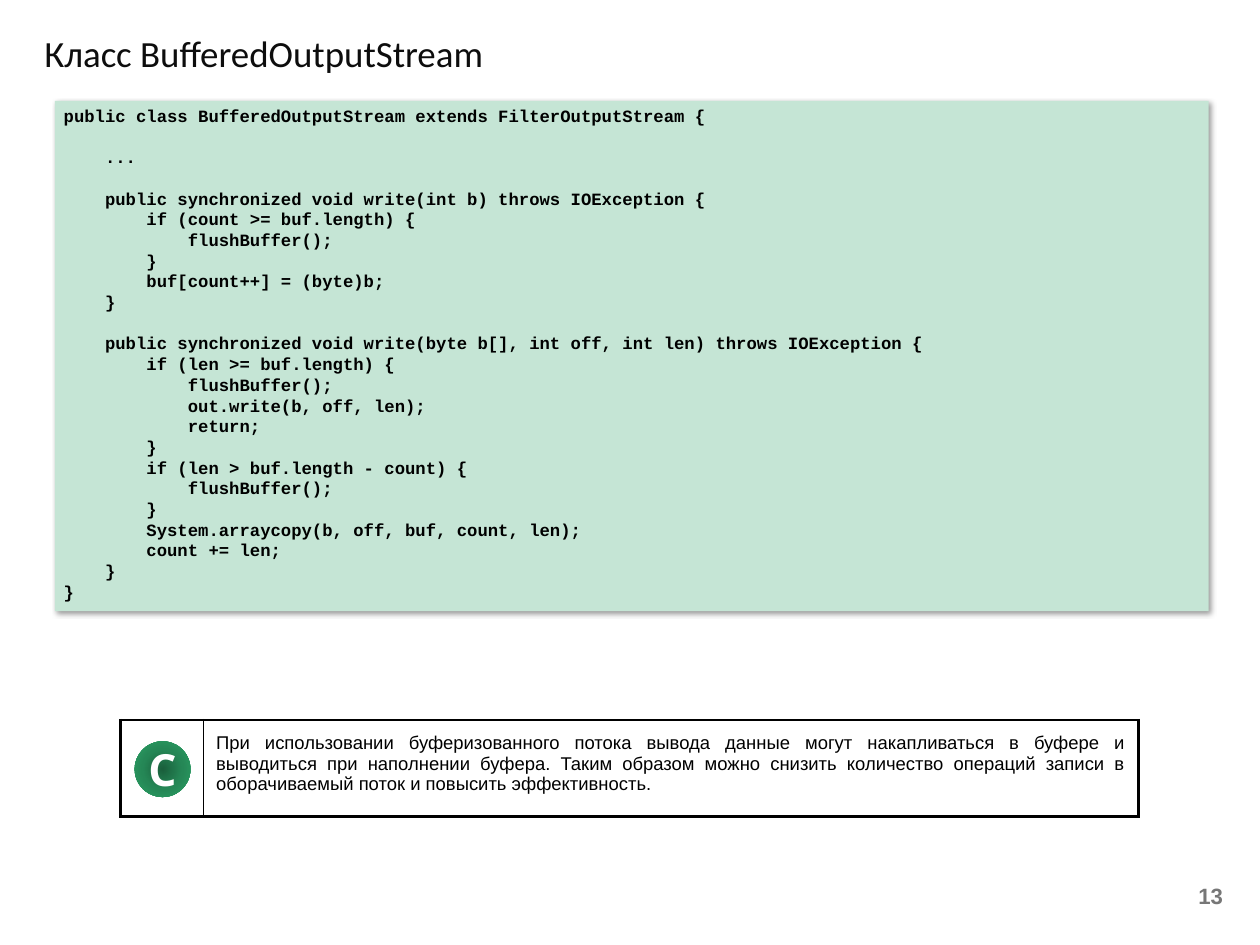
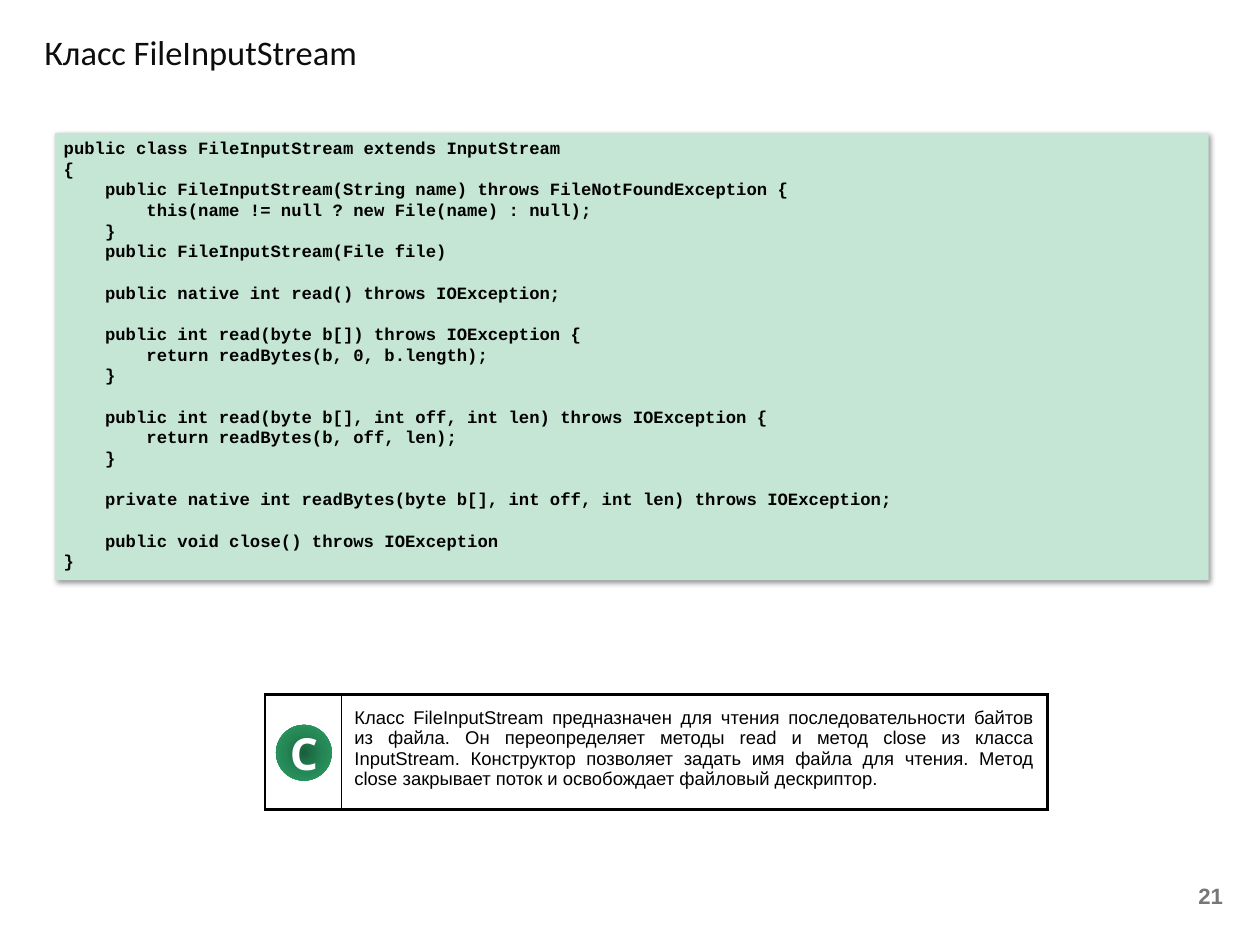
from pptx import Presentation
from pptx.dml.color import RGBColor
from pptx.enum import shapes, text
from pptx.oxml import parse_xml
from pptx.oxml.ns import nsdecls, qn
from pptx.util import Inches, Pt

BLACK, WHITE, GREY, TITLE_COLOUR = "000000", "FFFFFF", "777777", "0D0D0D"
CODE_FILL = "C5E5D5"
BADGE_STOPS = ((0, "1A5F3C"), (50, "258756"), (100, "2BA166"))
BADGE_SIZE = 0.63
THICK, THIN = 2.25, 0.5

BUFFERED_CODE = """\
public class BufferedOutputStream extends FilterOutputStream {

    ...

    public synchronized void write(int b) throws IOException {
        if (count >= buf.length) {
            flushBuffer();
        }
        buf[count++] = (byte)b;
    }

    public synchronized void write(byte b[], int off, int len) throws IOException {
        if (len >= buf.length) {
            flushBuffer();
            out.write(b, off, len);
            return;
        }
        if (len > buf.length - count) {
            flushBuffer();
        }
        System.arraycopy(b, off, buf, count, len);
        count += len;
    }
}"""
BUFFERED_NOTE = (
    "При использовании буферизованного потока вывода данные могут накапливаться в буфере "
    "и выводиться при наполнении буфера. Таким образом можно снизить количество операций "
    "записи в оборачиваемый поток и повысить эффективность.")

FILE_CODE = """\
public class FileInputStream extends InputStream
{
    public FileInputStream(String name) throws FileNotFoundException {
        this(name != null ? new File(name) : null);
    }
    public FileInputStream(File file)

    public native int read() throws IOException;

    public int read(byte b[]) throws IOException {
        return readBytes(b, 0, b.length);
    }

    public int read(byte b[], int off, int len) throws IOException {
        return readBytes(b, off, len);
    }

    private native int readBytes(byte b[], int off, int len) throws IOException;

    public void close() throws IOException
}"""
FILE_NOTE = (
    "Класс FileInputStream предназначен для чтения последовательности байтов из файла. "
    "Он переопределяет методы read и метод close из класса InputStream. Конструктор "
    "позволяет задать имя файла для чтения. Метод close закрывает поток и освобождает "
    "файловый дескриптор.")


def rgb(colour):
    return RGBColor.from_string(colour)


def style(paragraph, font, size, colour, bold=False, align=text.PP_ALIGN.LEFT):
    paragraph.alignment = align
    paragraph.font.name = font
    paragraph.font.size = Pt(size)
    paragraph.font.bold = bold
    paragraph.font.color.rgb = rgb(colour)


def set_margins(box, margin):
    """Give a text frame or table cell the same inset on every side."""
    box.margin_left = box.margin_top = box.margin_right = box.margin_bottom = Inches(margin)


def add_titled_slide(presentation, title, size, number):
    slide = presentation.slides.add_slide(presentation.slide_layouts[5])
    heading = slide.shapes.title
    heading.left, heading.top = Inches(0.4), Inches(0.3)
    heading.width, heading.height = Inches(11.03), Inches(0.63)
    frame = heading.text_frame
    frame.text = title
    frame.vertical_anchor = text.MSO_ANCHOR.TOP
    frame.auto_size = text.MSO_AUTO_SIZE.NONE
    style(frame.paragraphs[0], "Calibri", size, TITLE_COLOUR)

    footer = slide.shapes.add_textbox(Inches(10.58), Inches(9.85), Inches(3.32), Inches(0.53))
    frame = footer.text_frame
    frame.word_wrap = True
    frame.vertical_anchor = text.MSO_ANCHOR.MIDDLE
    frame.text = str(number)
    style(frame.paragraphs[0], "Arial", 18, GREY, True, text.PP_ALIGN.RIGHT)
    return slide


def add_code(slide, code, top, height):
    panel = slide.shapes.add_shape(shapes.MSO_SHAPE.RECTANGLE, Inches(0.62), Inches(top),
                                   Inches(13.02), Inches(height))
    panel.fill.solid()
    panel.fill.fore_color.rgb = rgb(CODE_FILL)
    panel.line.fill.background()
    panel.shadow.inherit = False
    effects = panel._element.spPr.find(qn("a:effectLst"))
    effects.append(parse_xml(
        f'<a:outerShdw {nsdecls("a")} blurRad="{Pt(4)}" dist="{Pt(3)}" dir="2700000" '
        f'algn="tl" rotWithShape="0"><a:srgbClr val="{BLACK}"><a:alpha val="40000"/>'
        '</a:srgbClr></a:outerShdw>'))
    frame = panel.text_frame
    frame.word_wrap = True
    frame.vertical_anchor = text.MSO_ANCHOR.TOP
    frame.text = code
    for paragraph in frame.paragraphs:
        style(paragraph, "Courier New", 14, BLACK, True)
        paragraph.line_spacing = Pt(16.8)


def set_borders(cell, left, right, top, bottom):
    """Draw black cell borders with widths in points."""
    properties = cell._tc.get_or_add_tcPr()
    widths = {"lnL": left, "lnR": right, "lnT": top, "lnB": bottom}
    for index, (tag, width) in enumerate(widths.items()):
        properties.insert(index, parse_xml(
            f'<a:{tag} {nsdecls("a")} w="{Pt(width)}"><a:solidFill>'
            f'<a:srgbClr val="{BLACK}"/></a:solidFill></a:{tag}>'))


def add_badge(slide, center_x, center_y):
    badge = slide.shapes.add_shape(
        shapes.MSO_SHAPE.OVAL, Inches(center_x - BADGE_SIZE / 2),
        Inches(center_y - BADGE_SIZE / 2), Inches(BADGE_SIZE), Inches(BADGE_SIZE))
    badge.fill.background()
    badge.line.fill.background()
    badge.shadow.inherit = False
    stops = "".join(f'<a:gs pos="{position * 1000}"><a:srgbClr val="{colour}"/></a:gs>'
                    for position, colour in BADGE_STOPS)
    properties = badge._element.spPr
    properties.replace(properties.find(qn("a:noFill")), parse_xml(
        f'<a:gradFill {nsdecls("a")} rotWithShape="1"><a:gsLst>{stops}</a:gsLst>'
        '<a:path path="circle"><a:fillToRect l="50000" t="50000" r="50000" b="50000"/>'
        '</a:path></a:gradFill>'))
    frame = badge.text_frame
    set_margins(frame, 0)
    frame.vertical_anchor = text.MSO_ANCHOR.MIDDLE
    frame.text = "C"
    style(frame.paragraphs[0], "Noto Sans", 36, WHITE, True, text.PP_ALIGN.CENTER)


def add_note(slide, note, left, top, widths, height):
    """Add a framed note with a round badge centred in its first column."""
    frame = slide.shapes.add_table(1, 2, Inches(left), Inches(top),
                                   Inches(sum(widths)), Inches(height))
    table = frame.table
    table.first_row = table.horz_banding = False
    for column, width in zip(table.columns, widths):
        column.width = Inches(width)
    badge_cell, note_cell = table.cell(0, 0), table.cell(0, 1)
    for cell in (badge_cell, note_cell):
        cell.fill.solid()
        cell.fill.fore_color.rgb = rgb(WHITE)
    set_borders(badge_cell, THICK, THIN, THICK, THICK)
    set_borders(note_cell, THIN, THICK, THICK, THICK)
    set_margins(note_cell, 0.15)
    note_cell.text = note
    style(note_cell.text_frame.paragraphs[0], "Arial", 15, BLACK, align=text.PP_ALIGN.JUSTIFY)
    add_badge(slide, left + widths[0] / 2 + 0.01, top + height / 2 + 0.01)


def main():
    presentation = Presentation()
    presentation.slide_width, presentation.slide_height = Inches(14.22), Inches(10.67)

    slide = add_titled_slide(presentation, "Класс BufferedOutputStream", 30, 13)
    add_code(slide, BUFFERED_CODE, 1.14, 5.76)
    add_note(slide, BUFFERED_NOTE, 1.36, 8.13, (0.93, 10.56), 1.09)

    slide = add_titled_slide(presentation, "Класс FileInputStream", 28, 21)
    add_code(slide, FILE_CODE, 1.5, 5.05)
    add_note(slide, FILE_NOTE, 2.99, 7.84, (0.86, 7.97), 1.3)

    presentation.save("out.pptx")


if __name__ == "__main__":
    main()
